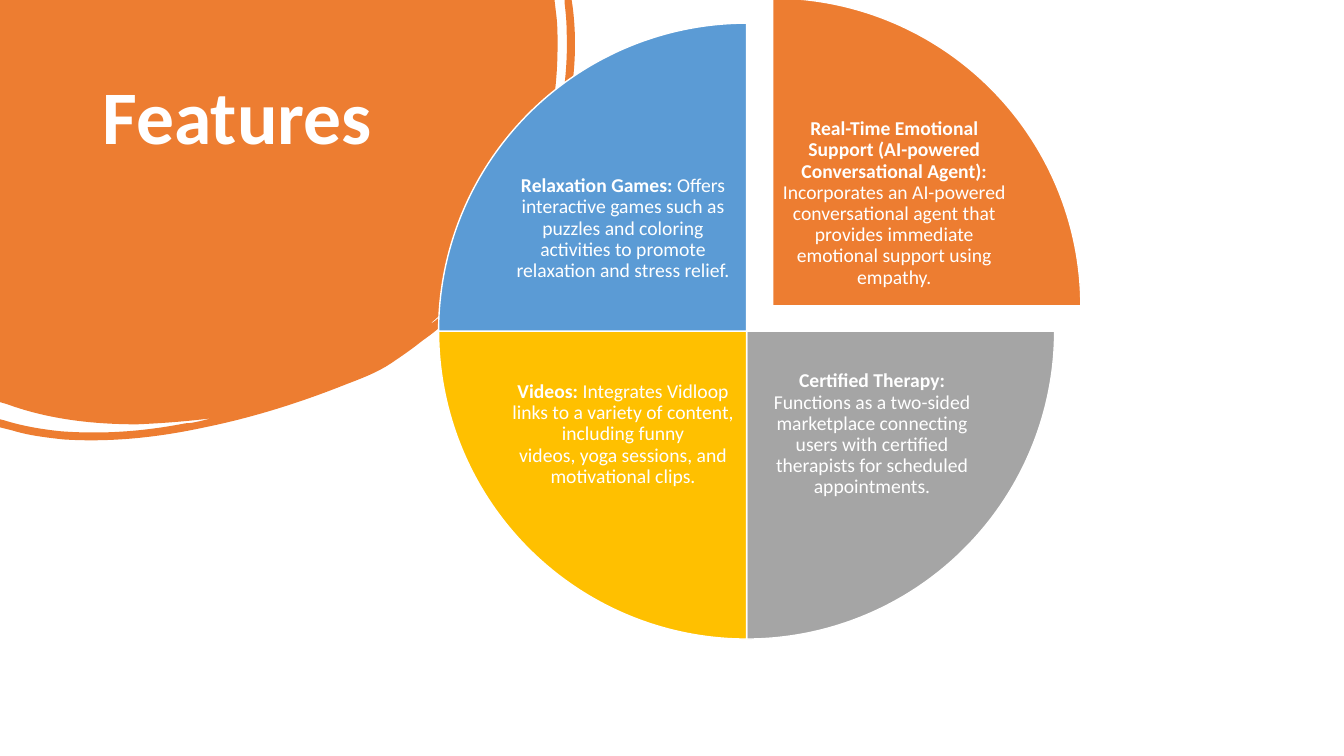
from lxml import etree
from pptx import Presentation, util as u
from pptx.dml.color import RGBColor
from pptx.enum import shapes, text
from pptx.oxml.ns import qn

NBSP = chr(160)

BLOB = [
    (5.5, 0), (5.52, 0.17), (5.53, 0.26, 5.53, 0.36, 5.53, 0.45),
    (5.53, 1.01, 5.42, 1.54, 5.18, 2.04), (4.96, 2.49, 4.65, 2.88, 4.27, 3.21),
    (4.29, 3.21, 4.3, 3.19, 4.32, 3.18), (4.59, 2.95, 4.82, 2.69, 5.01, 2.39),
    (5.43, 1.76, 5.65, 1.07, 5.62, 0.3), (5.62, 0.21, 5.61, 0.12, 5.6, 0.03),
    (5.6, 0), (5.67, 0), (5.68, 0.07), (5.74, 0.54, 5.68, 1.02, 5.53, 1.5),
    (5.33, 2.14, 4.97, 2.68, 4.48, 3.14), (4.39, 3.23, 4.29, 3.31, 4.19, 3.38),
    (4.09, 3.46, 3.99, 3.53, 3.87, 3.61), (3.75, 3.69, 3.6, 3.75, 3.44, 3.81),
    (2.99, 3.99, 2.52, 4.14, 2.03, 4.24), (1.57, 4.34, 1.1, 4.39, 0.63, 4.36),
    (0.45, 4.34, 0.28, 4.32, 0.12, 4.27), (0, 4.24), (0, 4.16), (0.04, 4.17),
    (0.23, 4.23, 0.42, 4.26, 0.61, 4.28), (1.03, 4.31, 1.43, 4.28, 1.84, 4.2),
    (1.89, 4.2, 1.93, 4.19, 1.98, 4.18), (2.02, 4.17, 2.06, 4.16, 2.1, 4.15),
    (1.86, 4.18, 1.61, 4.2, 1.36, 4.21), (0.92, 4.21, 0.48, 4.16, 0.07, 4.01),
    (0, 3.99),
]

FEATURES = [
    ("ED7D31", 162, 0.26, -0.25, 3.13, 1.13,
     "Real-Time Emotional Support (AI-powered Conversational Agent): ",
     "Incorporates an AI-powered conversational agent that provides immediate "
     "emotional support using empathy."),
    ("A5A5A5", 0, 0, 0, 3.17, 3.17, "Certified Therapy: ",
     "Functions as a two-sided marketplace connecting users with certified "
     "therapists for scheduled appointments."),
    ("FFC000", 54, 0, 0, 0.7, 3.17, "Videos:",
     f"{NBSP}Integrates Vidloop links to a variety of content, including funny "
     f"videos,{NBSP}yoga sessions, and motivational clips."),
    ("5B9BD5", 108, 0, 0, 0.7, 1.13, f"Relaxation Games:{NBSP}",
     f"Offers interactive games such as puzzles and coloring activities{NBSP}to "
     "promote relaxation and stress relief."),
]


def rgb(value):
    return RGBColor.from_string(value)


def curve_segments(sp, segments):
    lines = list(sp._element.iter(qn("a:lnTo")))
    for line, seg in zip(lines, segments):
        if len(seg) == 2:
            continue
        curve = etree.Element(qn("a:cubicBezTo"))
        for px, py in zip(seg[::2], seg[1::2]):
            etree.SubElement(curve, qn("a:pt"), x=str(u.Inches(px)), y=str(u.Inches(py)))
        line.getparent().replace(line, curve)


def add_text(s, x, y, w, h, parts, size, inset=(0.1, 0.05),
             align=text.PP_ALIGN.LEFT, anchor=text.MSO_ANCHOR.TOP):
    tf = s.shapes.add_textbox(u.Inches(x), u.Inches(y), u.Inches(w), u.Inches(h)).text_frame
    tf.word_wrap = True
    tf.vertical_anchor = anchor
    tf.margin_left = tf.margin_right = u.Inches(inset[0])
    tf.margin_top = tf.margin_bottom = u.Inches(inset[1])
    p = tf.paragraphs[0]
    p.alignment = align
    p.line_spacing = 0.9
    for i, part in enumerate(parts):
        r = p.add_run()
        r.text = part
        r.font.name = "Calibri"
        r.font.size = u.Pt(size)
        r.font.bold = i == 0
        r.font.color.rgb = rgb("FFFFFF")


def add_header(s, x, y):
    fb = s.shapes.build_freeform(0, 0)
    fb.add_line_segments([(u.Inches(seg[-2]), u.Inches(seg[-1])) for seg in BLOB], close=True)
    sp = fb.convert_to_shape(u.Inches(x), u.Inches(y))
    curve_segments(sp, BLOB)
    sp.shadow.inherit = False
    sp.fill.solid()
    sp.fill.fore_color.rgb = rgb("ED7D31")
    sp.line.fill.background()
    add_text(s, x + 0.92, y + 0.74, 3.52, 2.22, ["Features"], 54)


def add_feature_wheel(s, x, y, size):
    for color, start, dx, dy, text_x, text_y, heading, body in FEATURES:
        sp = s.shapes.add_shape(shapes.MSO_SHAPE.PIE, u.Inches(x + dx), u.Inches(y + dy),
                                u.Inches(size), u.Inches(size))
        sp.adjustments[0] = start
        sp.adjustments[1] = (start + 54) % 216
        sp.shadow.inherit = False
        sp.fill.solid()
        sp.fill.fore_color.rgb = rgb(color)
        sp.line.color.rgb = rgb("FFFFFF")
        sp.line.width = u.Pt(1)
        add_text(s, x + dx + text_x, y + dy + text_y, 2.26, 1.82, [heading, body], 14,
                 (0.02, 0.02), text.PP_ALIGN.CENTER, text.MSO_ANCHOR.MIDDLE)


def main():
    prs = Presentation()
    prs.slide_width = u.Inches(13.33)
    prs.slide_height = u.Inches(7.5)
    s = prs.slides.add_slide(prs.slide_layouts[6])
    add_header(s, 0, 0)
    add_feature_wheel(s, 4.35, 0.23, 6.11)
    prs.save("out.pptx")


if __name__ == "__main__":
    main()
